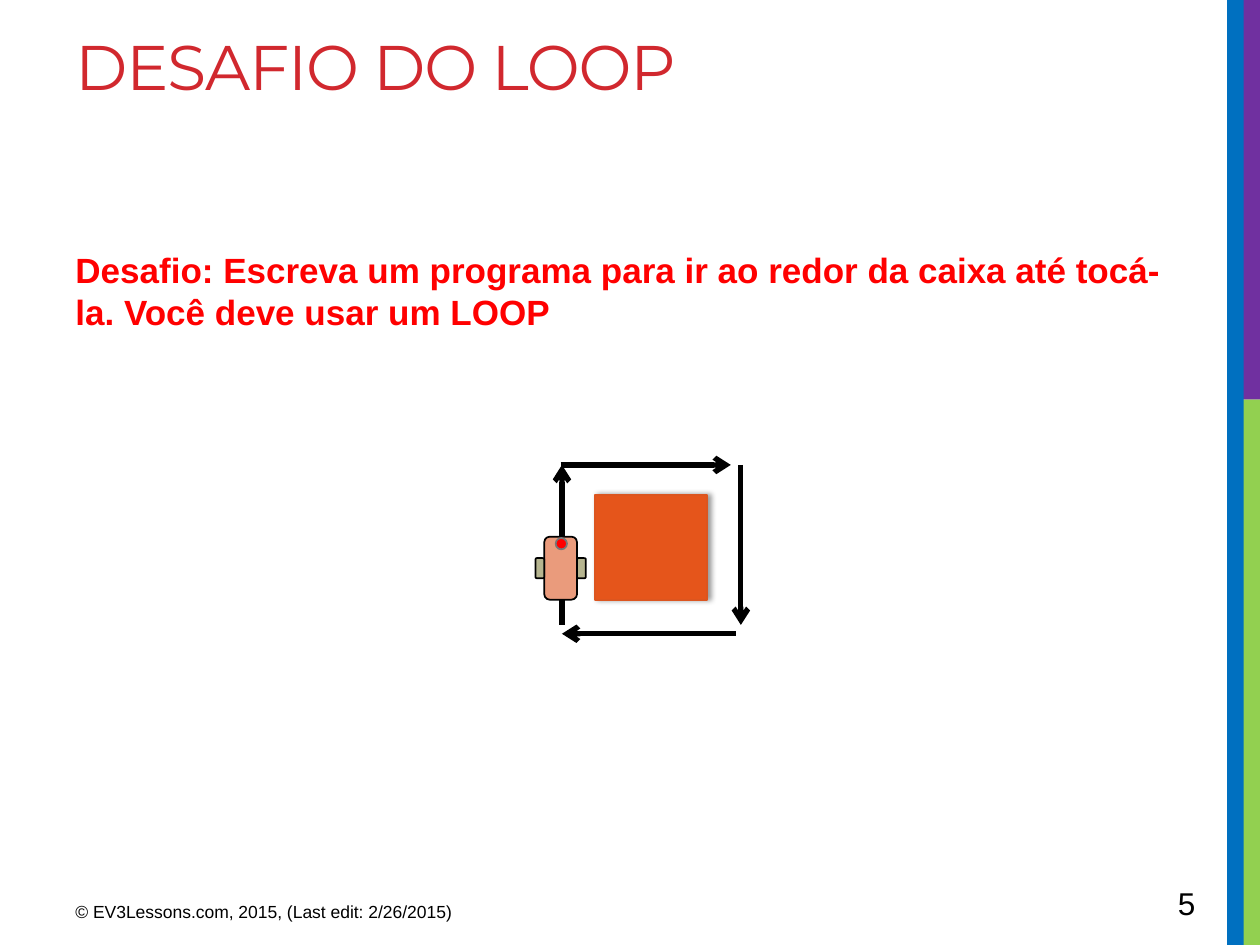
import pptx
import pptx.dml.color
import pptx.enum.shapes
import pptx.oxml
import pptx.oxml.ns
import pptx.util

Inches = pptx.util.Inches
Pt = pptx.util.Pt
KIND = pptx.enum.shapes.MSO_SHAPE
NS = pptx.oxml.ns.nsdecls("a")


def color(text):
    return pptx.dml.color.RGBColor.from_string(text)


def add_xml(parent, xml):
    """Append a drawing element, given without its namespace."""
    tag, rest = xml[1:].split(" ", 1)
    parent.append(pptx.oxml.parse_xml(f"<{tag} {NS} {rest}"))


def add_text(slide, box, text, font, size, fill, bold=False, track=None, after=0):
    frame = slide.shapes.add_textbox(*map(Inches, box)).text_frame
    frame.word_wrap = True
    par = frame.paragraphs[0]
    par.space_after = Pt(after)
    run = par.add_run()
    run.text = text
    run.font.name = font
    run.font.size = Pt(size)
    run.font.bold = bold
    run.font.color.rgb = color(fill)
    if track is not None:
        run.font._element.set("spc", str(track))


def add_block(shapes, kind, box, fill, line=None):
    block = shapes.add_shape(kind, *map(Inches, box))
    block.shadow.inherit = False
    block.fill.solid()
    block.fill.fore_color.rgb = color(fill)
    if line:
        block.line.color.rgb = color(line)
        block.line.width = Pt(1)
    else:
        block.line.fill.background()
    return block


def add_arrow(slide, start, end):
    arrow = slide.shapes.add_connector(
        pptx.enum.shapes.MSO_CONNECTOR.STRAIGHT, *map(Inches, start + end))
    arrow.line.color.rgb = color("000000")
    arrow.line.width = Pt(3)
    add_xml(arrow.line._get_or_add_ln(), '<a:tailEnd type="arrow"/>')
    add_xml(arrow._element.spPr, '<a:effectLst />')


def add_bars(slide):
    for box, fill in (
        ((9.84, 3.17, 0.16, 4.33), "92D050"),
        ((9.8, 0, 0.2, 3.17), "7030A0"),
        ((9.74, 0, 0.13, 7.5), "0070C0"),
    ):
        add_block(slide.shapes, KIND.RECTANGLE, box, fill)


def add_crate(slide):
    crate = add_block(slide.shapes, KIND.RECTANGLE,
                      (4.72, 3.93, 0.89, 0.83), "E5551B", "DC551F")
    effects = crate._element.spPr.find(pptx.oxml.ns.qn("a:effectLst"))
    add_xml(effects, f'<a:outerShdw blurRad="{Pt(3.1)}" dist="{Pt(1.8)}" dir="0">'
            '<a:srgbClr val="000000"><a:alpha val="40000"/></a:srgbClr>'
            '</a:outerShdw>')


def add_robot(slide):
    parts = slide.shapes.add_group_shape().shapes
    add_block(parts, KIND.ROUNDED_RECTANGLE,
              (4.32, 4.26, 0.26, 0.5), "EA9B7C", "000000")
    for left in (4.58, 4.25):
        add_block(parts, KIND.ROUNDED_RECTANGLE,
                  (left, 4.43, 0.07, 0.16), "B6B590", "000000")
    add_block(parts, KIND.OVAL, (4.41, 4.27, 0.09, 0.09), "FF0000", "777777")


def main():
    deck = pptx.Presentation()
    deck.slide_width, deck.slide_height = Inches(10), Inches(7.5)
    slide = deck.slides.add_slide(deck.slide_layouts[6])
    add_bars(slide)
    add_text(slide, (0.5, 0.17, 9.02, 1.5), "DESAFIO DO LOOP",
             "Montserrat", 36, "D1282E", track=-60)
    add_text(slide, (0.5, 1.92, 9.02, 4.78),
             "Desafio: Escreva um programa para ir ao redor da caixa até tocá-la. "
             "Você deve usar um LOOP", "Arial", 20, "FF0000", bold=True, after=6)
    add_text(slide, (0.5, 7.1, 3.75, 0.31),
             "© EV3Lessons.com, 2015, (Last edit: 2/26/2015)", "Arial", 10, "000000")
    add_text(slide, (9.25, 6.97, 0.69, 0.4), "5", "Arial", 18, "000000")
    add_crate(slide)
    for start, end in (
        ((4.46, 4.96), (4.46, 3.69)),
        ((4.45, 3.69), (5.8, 3.69)),
        ((5.88, 3.69), (5.88, 4.96)),
        ((5.84, 5.03), (4.46, 5.03)),
    ):
        add_arrow(slide, start, end)
    add_robot(slide)
    deck.save("out.pptx")


if __name__ == "__main__":
    main()
